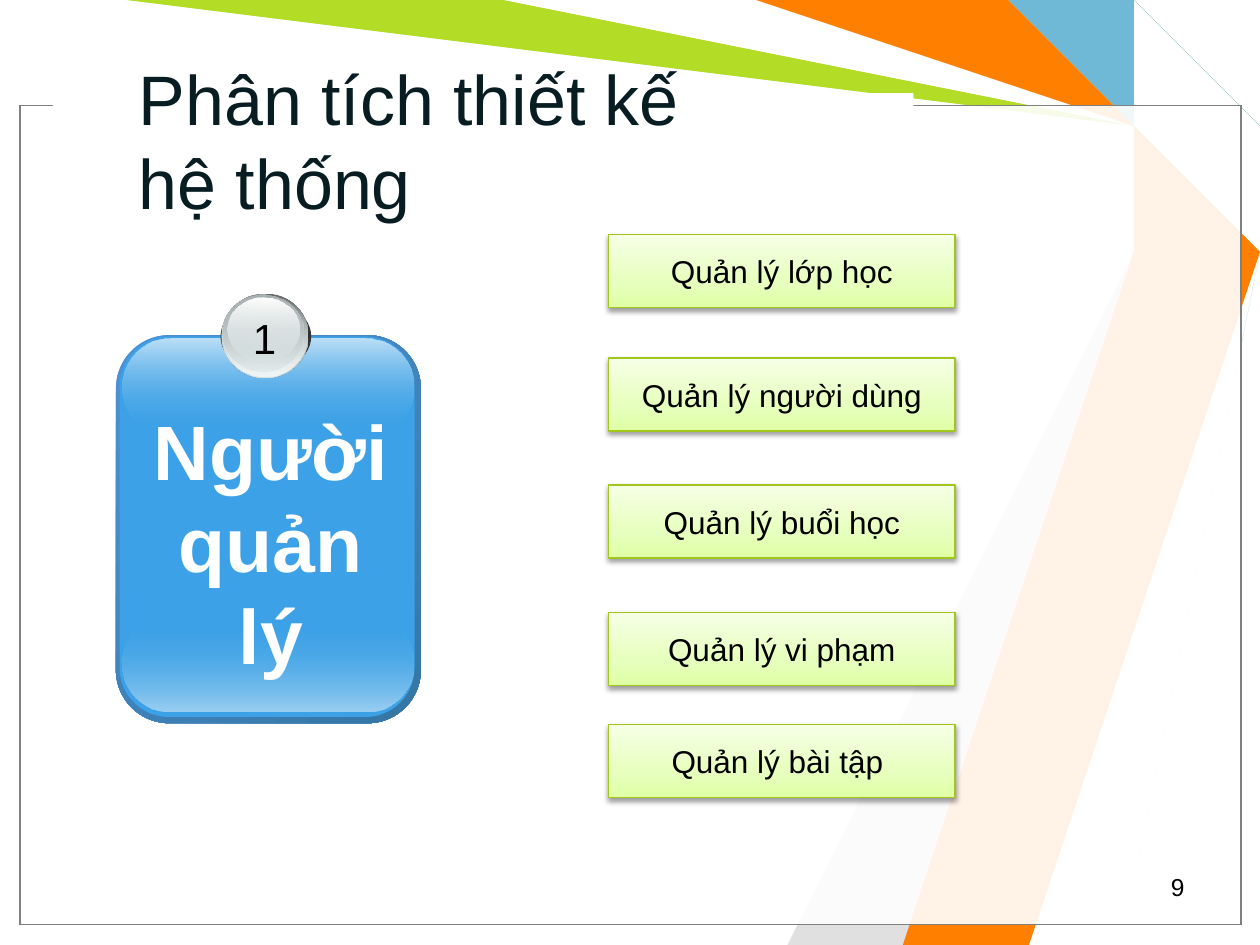
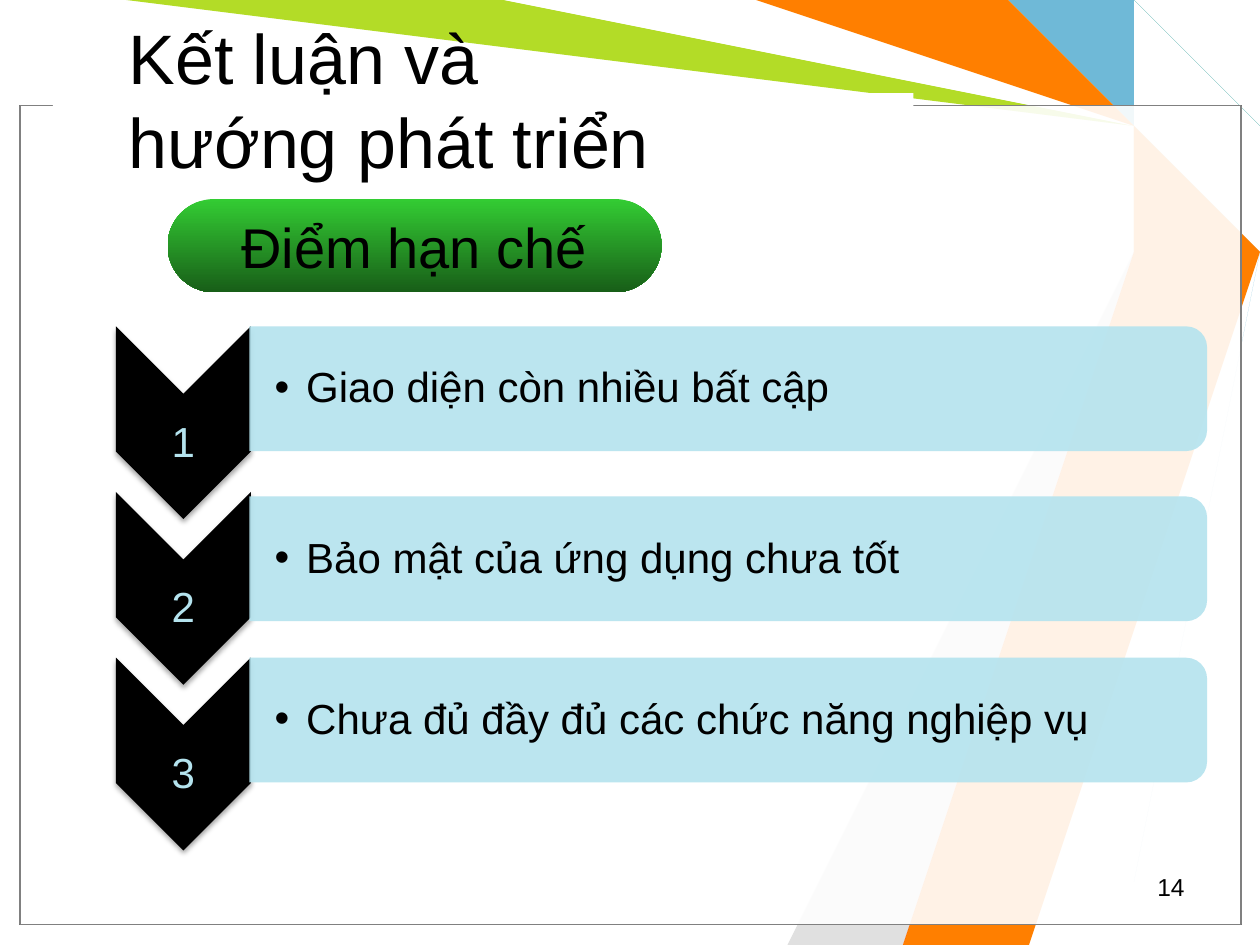
"""Builds two slides of a class management talk: manager duties and limitations."""
import lxml.etree
import pptx
import pptx.dml.color
import pptx.enum.shapes
import pptx.enum.text
import pptx.oxml.ns
import pptx.util

RGB = pptx.dml.color.RGBColor
KIND = pptx.enum.shapes.MSO_SHAPE
ALIGN = pptx.enum.text.PP_ALIGN
ANCHOR = pptx.enum.text.MSO_ANCHOR

COLUMNS, ROWS = 10, 7.5
CELL = pptx.util.Inches(1)
FONT = "Arial"

BLACK, WHITE = RGB(0, 0, 0), RGB(255, 255, 255)
TITLE_INK = RGB(0x08, 0x1D, 0x22)
GRAY, PALE_GRAY, DARK_GRAY = RGB(0x80, 0x80, 0x80), RGB(0xE0, 0xE0, 0xE0), RGB(0x33, 0x33, 0x33)
STEEL, ICE, TEAL = RGB(0x6F, 0xB9, 0xD7), RGB(0xB4, 0xE3, 0xEE), RGB(0x18, 0x91, 0x80)
LIME, ORANGE, RED = RGB(0xB3, 0xDC, 0x27), RGB(0xFF, 0x7F, 0), RGB(0xF9, 0x3D, 0x17)
BLUE, RIM_LIGHT, RIM_DARK = RGB(0x3C, 0xA1, 0xE6), RGB(0x4E, 0x91, 0xD4), RGB(0x34, 0x77, 0xA4)
BLUE_GLOW, BLUE_SHINE = RGB(0x9B, 0xCF, 0xF2), RGB(0xBE, 0xE0, 0xF7)
SILVER, SILVER_DARK = RGB(0xD6, 0xE1, 0xE2), RGB(0x63, 0x68, 0x69)
SILVER_MID, SILVER_LIGHT = RGB(0xAA, 0xB2, 0xB3), RGB(0xF1, 0xF5, 0xF5)
BOX_LOW, BOX_MID, BOX_HIGH = RGB(0xDF, 0xFF, 0xA4), RGB(0xE7, 0xFF, 0xBE), RGB(0xF6, 0xFF, 0xE6)
BOX_LINE = RGB(0xA1, 0xC7, 0x1D)
GREEN, DARK_GREEN = RGB(0x33, 0xCC, 0x33), RGB(0x18, 0x5E, 0x18)

RIBBONS = [
    (STEEL, [(8.92, 0), (9.29, 0.77), (9.58, 1.67), (9.11, 7.49), (8.56, 7.49),
             (9.5, 1.67), (9.17, 0.75), (8.38, 0)]),
    (LIME, [(1.17, 0), (3.83, 0), (9.14, 0.78), (9.42, 1.69), (7.42, 7.5), (6.92, 7.5),
            (9.35, 1.73), (9.01, 0.91)]),
    (PALE_GRAY, [(6.67, 7.5), (9.27, 1.81), (6, 7.5)]),
    (WHITE, [(3.75, 0), (9.1, 0.82), (9.32, 1.62), (6.75, 7.5), (7, 7.5), (9.41, 1.58),
             (9.17, 0.75), (6, 0)]),
    (ICE, [(9.25, 0), (9.17, 0.17), (9.78, 1.2), (10, 1.25), (10, 1), (9.25, 0.17), (9.32, 0)]),
    (TEAL, [(10, 0.83), (9.42, 0.25), (10, 0.67)]),
    (ORANGE, [(6.08, 0), (7.92, 0), (9.3, 0.7), (9.66, 1.69), (8.33, 7.5), (7.33, 7.5),
              (9.42, 1.58), (9.17, 0.75)]),
    (RED, [(7.32, 7.5), (9.32, 1.83), (7.49, 7.5)]),
]
CARD_LAYERS = [
    (KIND.ROUNDED_RECTANGLE, (0.92, 2.66, 2.42, 3.08), [(0, RIM_LIGHT), (100, RIM_DARK)], 45, 0.175),
    (KIND.ROUNDED_RECTANGLE, (0.95, 2.67, 2.34, 3.02), BLUE, 0, 0.167),
    (KIND.ROUNDED_RECTANGLE, (0.97, 4.89, 2.31, 0.76), [(0, BLUE, 0), (100, BLUE_GLOW)], 90, 0.5),
    (KIND.ROUNDED_RECTANGLE, (0.97, 2.69, 2.31, 0.76), [(0, BLUE_SHINE), (100, BLUE, 0)], 90, 0.5),
    (KIND.OVAL, (1.75, 2.39, 0.72, 0.56), DARK_GRAY, 0, None),
    (KIND.OVAL, (1.76, 2.33, 0.69, 0.67), [(0, SILVER_DARK), (100, SILVER)], 90, None),
    (KIND.OVAL, (1.76, 2.34, 0.68, 0.65), [(0, SILVER, 0), (100, SILVER_LIGHT)], 90, None),
    (KIND.OVAL, (1.77, 2.34, 0.64, 0.61), [(0, SILVER_MID), (100, SILVER, 48)], 90, None),
    (KIND.OVAL, (1.81, 2.36, 0.57, 0.5), [(0, WHITE), (100, SILVER, 38)], 90, None),
]
DUTIES = [(1.86, "Quản lý lớp học"), (2.84, "Quản lý người dùng"), (3.85, "Quản lý buổi học"),
          (4.86, "Quản lý vi phạm"), (5.75, "Quản lý bài tập ")]
LIMITS = [(2.59, "Giao diện còn nhiều bất cập"), (3.94, "Bảo mật của ứng dụng chưa tốt"),
          (5.22, "Chưa đủ đầy đủ các chức năng nghiệp vụ")]


def grid(*lengths):
    """Turn grid lengths into slide units."""
    return [int(length * CELL) for length in lengths]


def add_xml(parent, tag, **attributes):
    """Add a drawing element under a parent."""
    values = {name: str(value) for name, value in attributes.items()}
    return lxml.etree.SubElement(parent, pptx.oxml.ns.qn("a:" + tag), values)


def add_color(parent, color, opacity=100):
    """Add a colour with its opacity in percent."""
    node = add_xml(parent, "srgbClr", val=color)
    if opacity < 100:
        add_xml(node, "alpha", val=opacity * 1000)


def paint(shape, fill, angle=0, opacity=100, line=None):
    """Fill a shape with a colour or gradient stops, and set its outline."""
    shape.shadow.inherit = False
    shape.fill.solid()
    shape.fill.fore_color.rgb = WHITE
    properties = shape.element.spPr
    solid = properties.find(pptx.oxml.ns.qn("a:solidFill"))
    if isinstance(fill, list):
        gradient = properties.makeelement(pptx.oxml.ns.qn("a:gradFill"), {"rotWithShape": "1"})
        stops = add_xml(gradient, "gsLst")
        for position, *color in fill:
            add_color(add_xml(stops, "gs", pos=position * 1000), *color)
        add_xml(gradient, "lin", ang=angle * 60000, scaled=0)
        properties.replace(solid, gradient)
    else:
        solid.clear()
        add_color(solid, fill, opacity)
    if line is None:
        shape.line.fill.background()
    else:
        shape.line.color.rgb = line
        shape.line.width = pptx.util.Pt(0.75)


def cast_shadow(shape, opacity, distance):
    """Give a shape a soft shadow straight below it."""
    effects = shape.element.spPr.find(pptx.oxml.ns.qn("a:effectLst"))
    shadow = add_xml(effects, "outerShdw", blurRad=pptx.util.Pt(3.1), dist=pptx.util.Pt(distance),
                     dir=90 * 60000, rotWithShape=0)
    add_color(shadow, BLACK, opacity)


def add_shape(slide, kind, box, fill, angle=0, adjust=None, opacity=100, line=None):
    """Add a painted preset shape."""
    shape = slide.shapes.add_shape(kind, *grid(*box))
    if adjust is not None:
        shape.adjustments[0] = adjust
    paint(shape, fill, angle, opacity, line)
    return shape


def write(shape, text, size, color=BLACK, align=ALIGN.CENTER, anchor=ANCHOR.MIDDLE,
          bold=False, wrap=True, insets=None):
    """Write formatted text into a shape and return its text frame."""
    frame = shape.text_frame
    frame.text = text
    frame.word_wrap = wrap
    frame.vertical_anchor = anchor
    if insets:
        (frame.margin_left, frame.margin_top,
         frame.margin_right, frame.margin_bottom) = grid(*insets)
    for paragraph in frame.paragraphs:
        paragraph.alignment = align
        for run in paragraph.runs:
            run.font.name, run.font.size = FONT, pptx.util.Pt(size)
            run.font.bold, run.font.color.rgb = bold, color
    return frame


def add_text(slide, box, text, size, **style):
    """Add a text box."""
    return write(slide.shapes.add_textbox(*grid(*box)), text, size, **style)


def decorate_layout(layout, slide):
    """Draw the ribbons and the frame, and hand them to the layout."""
    shapes = []
    for color, points in RIBBONS:
        builder = slide.shapes.build_freeform(*points[0], scale=CELL)
        builder.add_line_segments(points[1:], close=True)
        ribbon = builder.convert_to_shape()
        paint(ribbon, color)
        shapes.append(ribbon)
    for line in (BLACK, GRAY):
        shapes.append(add_shape(slide, KIND.RECTANGLE, (0.16, 0.84, 9.69, 6.5), WHITE,
                                opacity=69, line=line))
    shapes.append(add_shape(slide, KIND.RECTANGLE, (0.42, 0.74, 6.83, 0.17), WHITE))
    for number, shape in enumerate(shapes, 100):
        shape.element.nvSpPr.cNvPr.set("id", str(number))
        layout.shapes.element.append(shape.element)


def add_title(slide, left, top, text, color):
    """Place and style the title."""
    title = slide.shapes.title
    title.left, title.top, title.width, title.height = grid(left, top, 6.58, 0.72)
    frame = write(title, text, 40, color, ALIGN.LEFT)
    frame.auto_size = pptx.enum.text.MSO_AUTO_SIZE.NONE


def add_page_number(slide, number):
    """Write the page number in the lower right corner."""
    add_text(slide, (7.17, 6.87, 2.33, 0.33), str(number), 14, align=ALIGN.RIGHT, anchor=ANCHOR.TOP)


def add_card(slide):
    """Draw the glossy role card with its numbered badge."""
    for kind, box, fill, angle, adjust in CARD_LAYERS:
        add_shape(slide, kind, box, fill, angle, adjust)
    add_text(slide, (1.9, 2.43, 0.4, 0.5), "1", 24, anchor=ANCHOR.TOP, wrap=False)
    add_text(slide, (1, 3.15, 2.3, 3.02), "Người quản lý", 44, color=WHITE,
             anchor=ANCHOR.TOP, bold=True)


def add_duty(slide, top, text):
    """Add one green duty box."""
    box = add_shape(slide, KIND.RECTANGLE, (4.83, top, 2.75, 0.58),
                    [(0, BOX_LOW), (35, BOX_MID), (100, BOX_HIGH)], 270, line=BOX_LINE)
    cast_shadow(box, 38, 1.6)
    write(box, text, 18)


def add_limit(slide, index, top, text):
    """Add one numbered chevron with its bulleted bar."""
    offset = index * 1.315
    chevron = add_shape(slide, KIND.CHEVRON, (0.69, 2.82 + offset, 1.53, 1.07), BLACK)
    chevron.rotation = 90
    cast_shadow(chevron, 35, 1.8)
    number = add_text(slide, (0.92, 3.12 + offset, 1.07, 0.46), str(index + 1), 24, color=ICE,
                      anchor=ANCHOR.BOTTOM, insets=(0, 0.6, 0, 0))
    length, thickness = 7.6, 0.99
    shift = (length - thickness) / 2
    bar = add_shape(slide, KIND.ROUND_2_SAME_RECTANGLE,
                    (1.98 + shift, top - shift, thickness, length), ICE, opacity=90)
    bar.rotation = 90
    label = add_text(slide, (1.99, top + 0.05, 7.55, 0.9), text, 24, align=ALIGN.LEFT,
                     insets=(0.19, 0.02, 0.02, 0.02))
    for frame in (number, label):
        frame.paragraphs[0].line_spacing = 0.9
    indent = grid(0.25)[0]
    properties = label.paragraphs[0]._p.get_or_add_pPr()
    properties.set("marL", str(indent))
    properties.set("indent", str(-indent))
    add_xml(properties, "buFont", typeface=FONT)
    add_xml(properties, "buChar", char="•")


def build_duties(slide):
    """Build the slide on the manager's duties."""
    add_title(slide, 1, 0.75, "Phân tích thiết kế\nhệ thống", TITLE_INK)
    add_card(slide)
    for top, text in DUTIES:
        add_duty(slide, top, text)
    add_page_number(slide, 9)


def build_limits(slide):
    """Build the slide on the limitations."""
    add_title(slide, 0.92, 0.42, "Kết luận và \nhướng phát triển", BLACK)
    for index, (top, text) in enumerate(LIMITS):
        add_limit(slide, index, top, text)
    heading = add_shape(slide, KIND.ROUNDED_RECTANGLE, (1.33, 1.58, 3.92, 0.74),
                        [(0, GREEN), (100, DARK_GREEN)], 90, 0.5)
    write(heading, "Điểm hạn chế", 32, wrap=False)
    add_page_number(slide, 14)


def main():
    """Build and save the presentation."""
    presentation = pptx.Presentation()
    presentation.slide_width, presentation.slide_height = grid(COLUMNS, ROWS)
    layout = presentation.slide_layouts.get_by_name("Title Only")
    duties, limits = [presentation.slides.add_slide(layout) for _ in range(2)]
    decorate_layout(layout, duties)
    build_duties(duties)
    build_limits(limits)
    presentation.save("out.pptx")


main()
